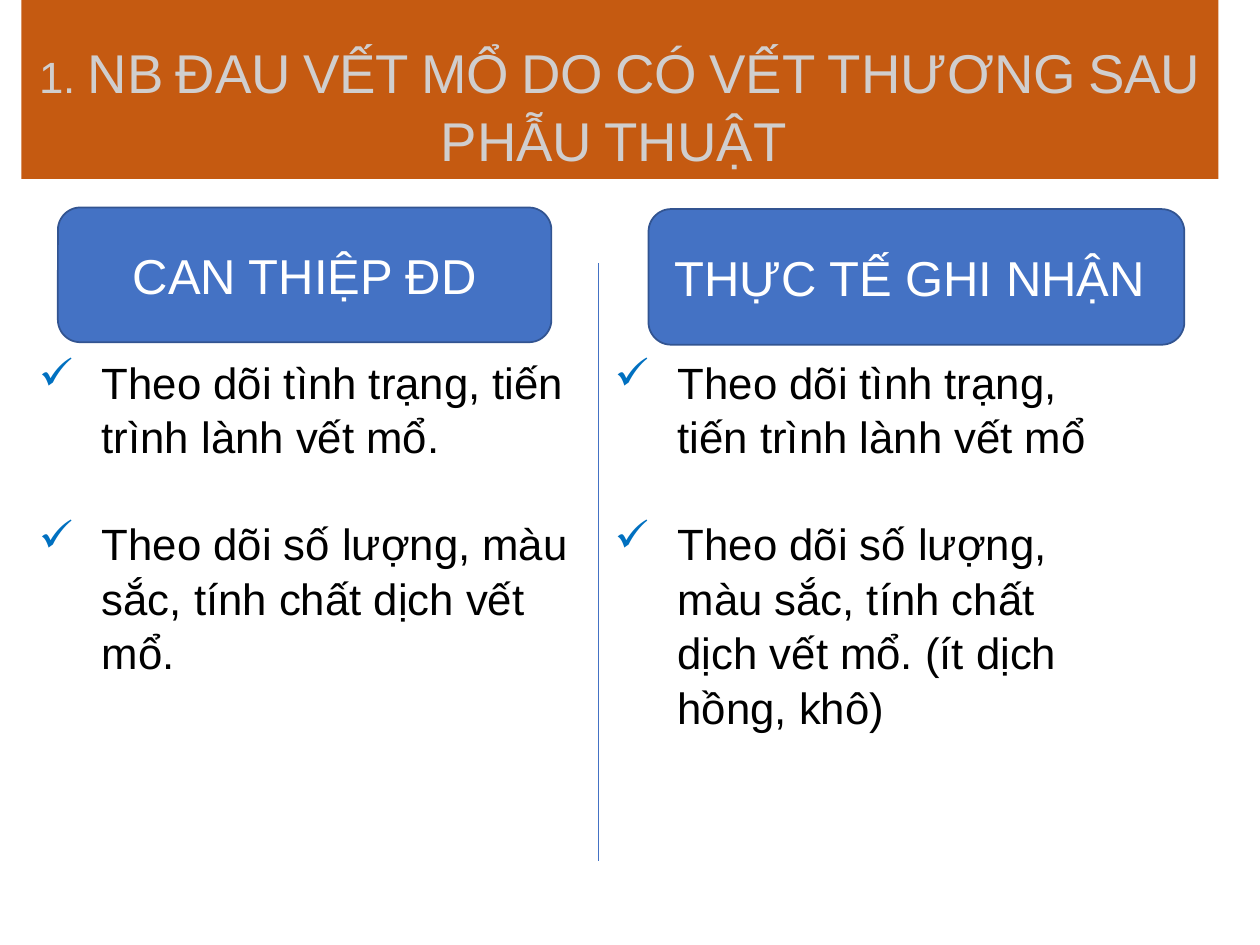
from dataclasses import dataclass

from lxml import etree
from pptx import Presentation
from pptx.dml.color import RGBColor
from pptx.enum.shapes import MSO_CONNECTOR, MSO_SHAPE
from pptx.enum.text import MSO_ANCHOR, MSO_AUTO_SIZE, PP_ALIGN
from pptx.oxml.ns import qn
from pptx.slide import Slide
from pptx.text.text import _Paragraph
from pptx.util import Pt

ROUNDED = MSO_SHAPE.ROUNDED_RECTANGLE
STRAIGHT = MSO_CONNECTOR.STRAIGHT
CENTER = PP_ALIGN.CENTER
MIDDLE, BOTTOM, TOP = MSO_ANCHOR.MIDDLE, MSO_ANCHOR.BOTTOM, MSO_ANCHOR.TOP
NO_AUTOFIT = MSO_AUTO_SIZE.NONE

FONT = "Arial"
BLUE, DARK_BLUE, TICK_BLUE = "4472C4", "325491", "0070C0"
ORANGE, GREY, WHITE, BLACK = "C55A11", "D0CECE", "FFFFFF", "000000"
BODY_SIZE = 25
LINE_SPACING = 1.04
ITEM_GAP = 30
TICK_INDENT = 36
LIST_TOP, LIST_HEIGHT = 198.3, 240


@dataclass
class Box:
    left: float
    top: float
    width: float
    height: float

    def lengths(self) -> tuple:
        return Pt(self.left), Pt(self.top), Pt(self.width), Pt(self.height)


@dataclass
class Column:
    heading: str
    heading_box: Box
    list_left: float
    list_width: float
    items: list[str]


COLUMNS = [
    Column("CAN THIỆP ĐD", Box(33.1, 118.6, 282, 77), 15.1, 318.2, [
        "Theo dõi tình trạng, tiến trình lành vết mổ.",
        "Theo dõi số lượng, màu sắc, tính chất dịch vết mổ.",
    ]),
    Column("THỰC TẾ GHI NHẬN ", Box(370.6, 119.5, 306.2, 77.5), 344.2, 300.2, [
        "Theo dõi tình trạng, tiến trình lành vết mổ",
        "Theo dõi số lượng, màu sắc, tính chất dịch vết mổ. (ít dịch hồng, khô)",
    ]),
]


def color(value: str) -> RGBColor:
    return RGBColor.from_string(value)


def add_run(paragraph: _Paragraph, text: str, size: float, font_color: str):
    run = paragraph.add_run()
    run.text = text
    run.font.name = FONT
    run.font.size = Pt(size)
    run.font.color.rgb = color(font_color)
    return run


def add_tick(paragraph: _Paragraph) -> None:
    """Give the paragraph a hanging indent and a coloured check mark."""
    properties = paragraph._p.get_or_add_pPr()
    properties.set("marL", str(Pt(TICK_INDENT)))
    properties.set("indent", str(-Pt(TICK_INDENT)))
    tick_color = etree.SubElement(properties, qn("a:buClr"))
    etree.SubElement(tick_color, qn("a:srgbClr"), val=TICK_BLUE)
    etree.SubElement(properties, qn("a:buChar"), char="✓")


def fill_title(slide: Slide, text: str, box: Box) -> None:
    title = slide.shapes.title
    title.left, title.top, title.width, title.height = box.lengths()
    title.fill.solid()
    title.fill.fore_color.rgb = color(ORANGE)
    frame = title.text_frame
    frame.auto_size = NO_AUTOFIT
    frame.vertical_anchor = BOTTOM
    paragraph = frame.paragraphs[0]
    paragraph.alignment = CENTER
    paragraph.line_spacing = LINE_SPACING
    run = add_run(paragraph, text, 31.2, GREY)
    run._r.get_or_add_rPr().set("cap", "small")


def add_heading(slide: Slide, text: str, box: Box) -> None:
    heading = slide.shapes.add_shape(ROUNDED, *box.lengths())
    heading.shadow.inherit = False
    heading.fill.solid()
    heading.fill.fore_color.rgb = color(BLUE)
    heading.line.color.rgb = color(DARK_BLUE)
    heading.line.width = Pt(1)
    frame = heading.text_frame
    frame.word_wrap = True
    frame.vertical_anchor = MIDDLE
    paragraph = frame.paragraphs[0]
    paragraph.alignment = CENTER
    add_run(paragraph, text, 28, WHITE)


def add_checklist(slide: Slide, items: list[str], box: Box) -> None:
    frame = slide.shapes.add_textbox(*box.lengths()).text_frame
    frame.word_wrap = True
    frame.vertical_anchor = TOP
    for index, item in enumerate(items):
        paragraph = frame.add_paragraph() if index else frame.paragraphs[0]
        add_tick(paragraph)
        paragraph.line_spacing = LINE_SPACING
        if index:
            paragraph.space_before = Pt(ITEM_GAP)
        add_run(paragraph, item, BODY_SIZE, BLACK)


def add_divider(slide: Slide, x: float, top: float, bottom: float) -> None:
    divider = slide.shapes.add_connector(STRAIGHT, Pt(x), Pt(top), Pt(x), Pt(bottom))
    divider.line.color.rgb = color(BLUE)
    divider.line.width = Pt(0.5)
    etree.SubElement(divider._element.spPr, qn("a:effectLst"))


def main() -> None:
    presentation = Presentation()
    presentation.slide_width, presentation.slide_height = Pt(720), Pt(540)
    slide = presentation.slides.add_slide(presentation.slide_layouts[5])
    fill_title(slide, "1. NB ĐAU VẾT MỔ DO CÓ VẾT THƯƠNG SAU PHẪU THUẬT ",
               Box(12.2, 0, 684, 102.2))
    add_divider(slide, 342, 150.5, 491.8)
    for column in COLUMNS:
        add_checklist(slide, column.items,
                      Box(column.list_left, LIST_TOP, column.list_width, LIST_HEIGHT))
        add_heading(slide, column.heading, column.heading_box)
    presentation.save("out.pptx")


if __name__ == "__main__":
    main()
